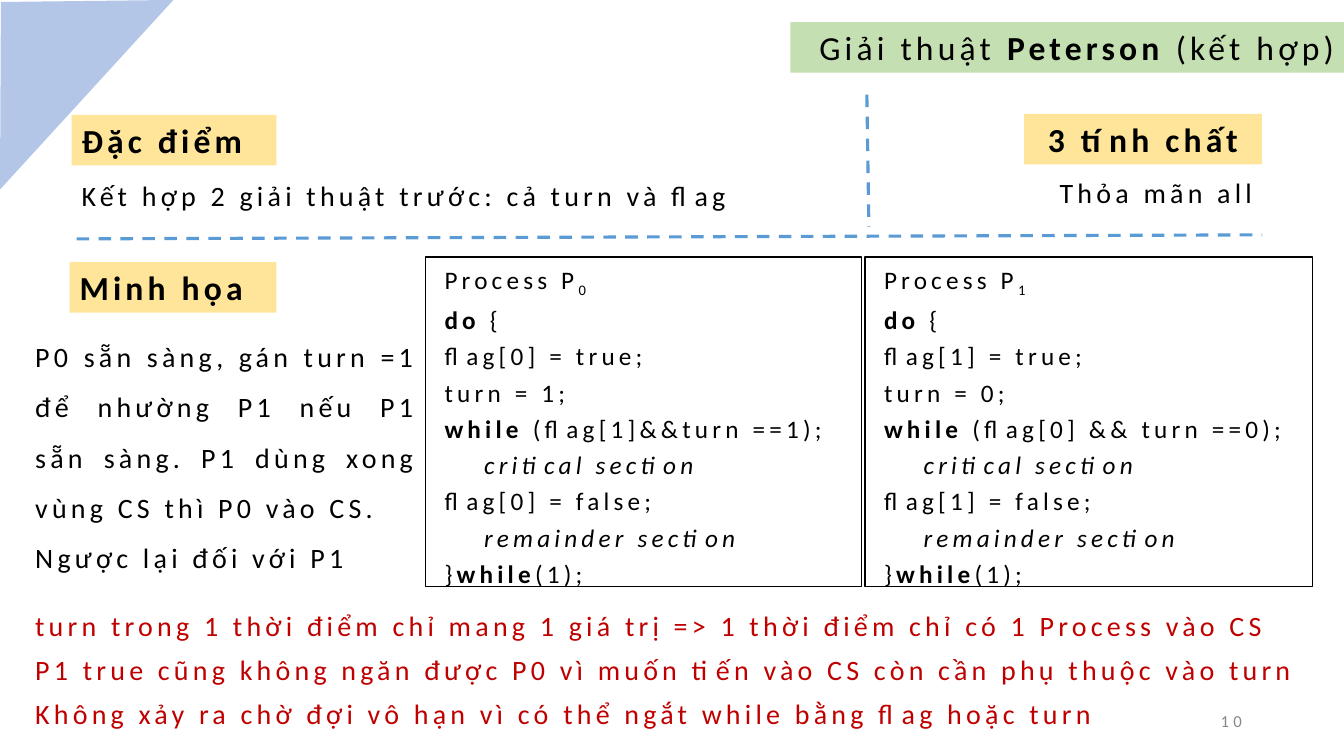
from lxml.etree import SubElement
from pptx import Presentation
from pptx.dml.color import RGBColor
from pptx.enum.dml import MSO_LINE
from pptx.enum.shapes import MSO_CONNECTOR, MSO_SHAPE
from pptx.enum.text import MSO_ANCHOR, MSO_AUTO_SIZE, PP_ALIGN
from pptx.oxml.ns import qn
from pptx.util import Inches, Pt

WIDTH, HEIGHT = Inches(13.333), Inches(7.5)
BLACK, RED, GREY = "000000", "C00000", "888888"
YELLOW, GREEN, LIGHT_BLUE, BLUE = "FEE599", "C4E0B2", "B3C6E7", "5B9BD5"
LABEL_HEIGHT, LINE_HEIGHT = 6.67, 5.87


def color(hex_string):
    """Turn a hex string into a colour."""
    return RGBColor.from_string(hex_string)


def across(percent):
    """Convert a percentage of the slide width to a length."""
    return round(WIDTH * percent / 100)


def down(percent):
    """Convert a percentage of the slide height to a length."""
    return round(HEIGHT * percent / 100)


def area(left, top, width, height):
    """Convert a box in percentages to lengths."""
    return across(left), down(top), across(width), down(height)


def write(shape, paragraphs, size=20, ink=BLACK, align=PP_ALIGN.LEFT, spacing=1.0,
          anchor=MSO_ANCHOR.TOP, fit=MSO_AUTO_SIZE.SHAPE_TO_FIT_TEXT):
    """Fill a shape with paragraphs, each a list of (text, style) runs."""
    frame = shape.text_frame
    frame.word_wrap = True
    frame.auto_size = fit
    frame.vertical_anchor = anchor
    for index, runs in enumerate(paragraphs):
        paragraph = frame.add_paragraph() if index else frame.paragraphs[0]
        paragraph.alignment = align
        paragraph.line_spacing = spacing
        for text, style in runs:
            run = paragraph.add_run()
            run.text = text
            run.font.name = "Calibri"
            run.font.size = Pt(size)
            run.font.color.rgb = color(ink)
            run.font.bold = style == "bold"
            run.font.italic = style == "italic"
            properties = run._r.get_or_add_rPr()
            properties.set("spc", "300")
            if style == "subscript":
                properties.set("baseline", "-25000")


def add_rectangle(slide, box, fill=None, outline=None):
    """Add a rectangle with an optional fill and outline."""
    shape = slide.shapes.add_shape(MSO_SHAPE.RECTANGLE, *area(*box))
    shape.shadow.inherit = False
    if fill:
        shape.fill.solid()
        shape.fill.fore_color.rgb = color(fill)
    else:
        shape.fill.background()
    if outline:
        shape.line.color.rgb = color(outline)
        shape.line.width = Pt(1)
    else:
        shape.line.fill.background()
    return shape


def add_label(slide, box, runs, fill=YELLOW, align=PP_ALIGN.LEFT):
    """Add a filled heading."""
    write(add_rectangle(slide, box, fill), [runs], size=24, align=align)


def add_text(slide, box, lines, **text_format):
    """Add a text box of plain lines."""
    text_box = slide.shapes.add_textbox(*area(*box))
    write(text_box, [[(line, "")] for line in lines], **text_format)


def add_divider(slide, start_left, start_top, end_left, end_top):
    """Add a dashed line."""
    line = slide.shapes.add_connector(MSO_CONNECTOR.STRAIGHT, across(start_left), down(start_top),
                                      across(end_left), down(end_top))
    line.line.color.rgb = color(BLUE)
    line.line.width = Pt(2.25)
    line.line.dash_style = MSO_LINE.DASH
    SubElement(line._element.spPr, qn("a:effectLst"))


def add_corner(slide):
    """Add the triangle in the top left corner."""
    builder = slide.shapes.build_freeform(across(0.07), down(0.27))
    builder.add_line_segments([(0, down(25.07)), (across(12.9), 0)], close=True)
    corner = builder.convert_to_shape()
    corner.shadow.inherit = False
    corner.fill.solid()
    corner.fill.fore_color.rgb = color(LIGHT_BLUE)
    corner.line.fill.background()


def add_process(slide, box, process, condition):
    """Add the code of one process in a frame."""
    shape = add_rectangle(slide, box, outline=BLACK)
    frame = shape.text_frame
    frame.margin_left = Inches(0.19)
    frame.margin_top = frame.margin_right = frame.margin_bottom = 0
    write(shape, [
        [("Process P", ""), (str(process), "subscript")],
        [("do", "bold"), (" {", "")],
        [(f"flag[{process}] = true;", "")],
        [(f"turn = {1 - process};", "")],
        [("while", "bold"), (f" ({condition});", "")],
        [("    ", ""), ("critical section", "italic")],
        [(f"flag[{process}] = false;", "")],
        [("    ", ""), ("remainder section", "italic")],
        [("}", ""), ("while", "bold"), ("(1);", "")],
    ], size=18, spacing=1.2)


def main():
    """Build and save the slide."""
    presentation = Presentation()
    presentation.slide_width, presentation.slide_height = WIDTH, HEIGHT
    slide = presentation.slides.add_slide(presentation.slide_layouts[6])

    add_label(slide, (58.8, 2.93, 41.2, LABEL_HEIGHT),
              [("Giải thuật ", ""), ("Peterson", "bold"), (" (kết hợp)", "")],
              fill=GREEN, align=PP_ALIGN.RIGHT)
    add_label(slide, (5.33, 15.2, 15.23, LABEL_HEIGHT), [("Đặc điểm", "bold")])
    add_label(slide, (76.2, 15.07, 17.7, LABEL_HEIGHT), [("3 tính chất", "bold")],
              align=PP_ALIGN.CENTER)
    add_label(slide, (5.18, 34.67, 15.38, LABEL_HEIGHT), [("Minh họa", "bold")])
    add_divider(slide, 5.7, 31.6, 93.9, 31.07)
    add_divider(slide, 64.5, 12.53, 64.65, 30)
    add_corner(slide)

    add_text(slide, (77.63, 22.53, 16.27, LINE_HEIGHT), ["Thỏa mãn all"], align=PP_ALIGN.RIGHT)
    add_text(slide, (5.33, 22.93, 50.25, LINE_HEIGHT),
             ["Kết hợp 2 giải thuật trước: cả turn và flag"])
    add_process(slide, (31.65, 34, 32.47, 43.6), 0, "flag[1]&&turn ==1")
    add_process(slide, (64.35, 34, 33.3, 43.6), 1, "flag[0] && turn ==0")
    add_text(slide, (1.88, 42, 29.92, 35.07),
             ["P0 sẵn sàng, gán turn =1 để nhường P1 nếu P1 sẵn sàng. "
              "P1 dùng xong vùng CS thì P0 vào CS.",
              "Ngược lại đối với P1"], align=PP_ALIGN.JUSTIFY, spacing=1.5)

    conclusions = [
        "turn trong 1 thời điểm chỉ mang 1 giá trị => 1 thời điểm chỉ có 1 Process vào CS",
        "P1 true cũng không ngăn được P0 vì muốn tiến vào CS còn cần phụ thuộc vào turn",
        "Không xảy ra chờ đợi vô hạn vì có thể ngắt while bằng flag hoặc turn",
    ]
    for row, conclusion in enumerate(conclusions):
        add_text(slide, (1.88, 79.87 + 5.8 * row, 97, LINE_HEIGHT), [conclusion], ink=RED)
    add_text(slide, (70.65, 92.67, 22.5, 5.33), ["10"], size=12, ink=GREY, align=PP_ALIGN.RIGHT,
             anchor=MSO_ANCHOR.MIDDLE, fit=MSO_AUTO_SIZE.NONE)
    presentation.save("out.pptx")


if __name__ == "__main__":
    main()
